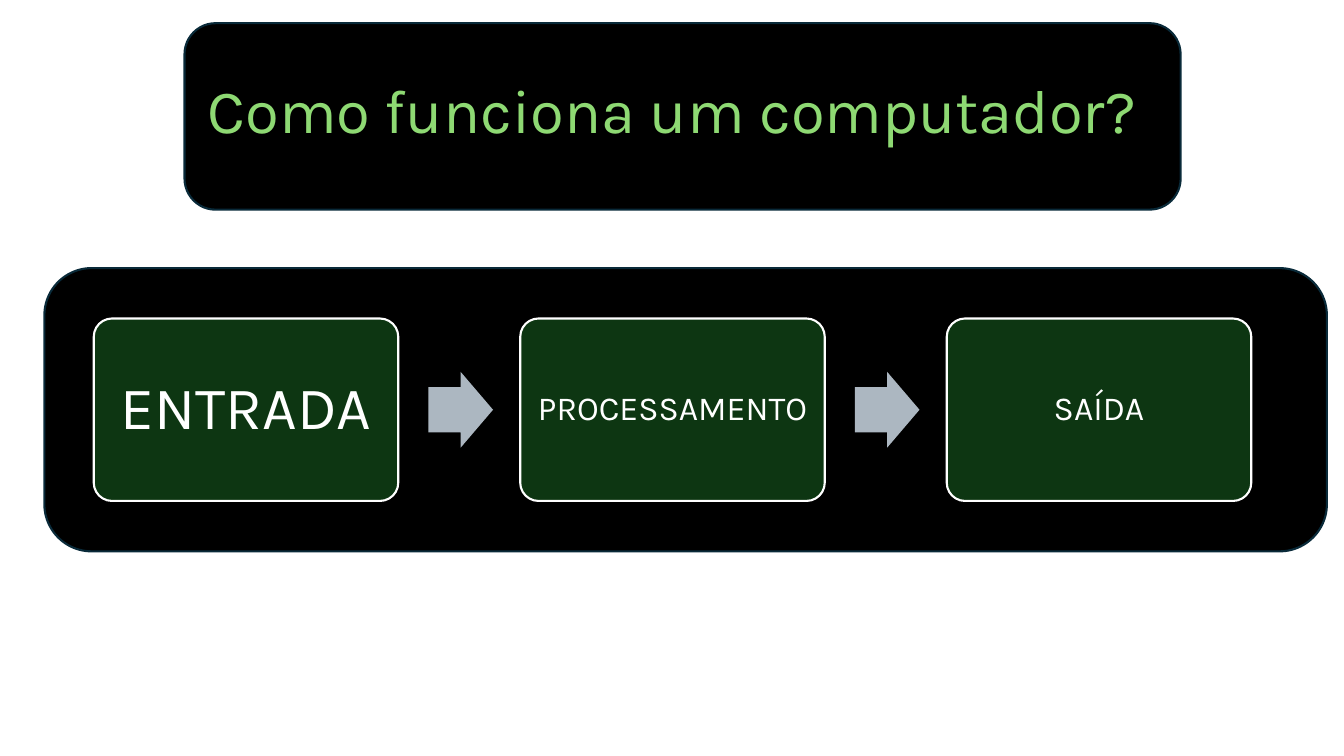
from pptx import Presentation
from pptx.dml.color import RGBColor
from pptx.enum.shapes import MSO_SHAPE as Shape
from pptx.enum.text import MSO_ANCHOR as Anchor, PP_ALIGN as Align
from pptx.util import Inches, Pt

BLACK = RGBColor(0x00, 0x00, 0x00)
WHITE = RGBColor(0xFF, 0xFF, 0xFF)
NAVY = RGBColor(0x09, 0x2A, 0x39)
LIGHT_GREEN = RGBColor(0x8E, 0xD9, 0x73)
DARK_GREEN = RGBColor(0x0D, 0x36, 0x12)
GRAY = RGBColor(0xAC, 0xB7, 0xC1)


def add_figure(shapes, kind, box, fill, outline=None):
    figure = shapes.add_shape(kind, *map(Inches, box))
    figure.shadow.inherit = False
    figure.fill.solid()
    figure.fill.fore_color.rgb = fill
    if outline is None:
        figure.line.fill.background()
    else:
        figure.line.color.rgb = outline
        figure.line.width = Pt(1.5)
    return figure


def write(figure, text, size, color, margin, space_after=0):
    frame = figure.text_frame
    frame_format = {"word_wrap": True, "vertical_anchor": Anchor.MIDDLE}
    for side in ("left", "top", "right", "bottom"):
        frame_format[f"margin_{side}"] = Inches(margin)
    for name, value in frame_format.items():
        setattr(frame, name, value)
    paragraph = frame.paragraphs[0]
    paragraph_format = {"alignment": Align.CENTER, "line_spacing": 0.9,
                        "space_before": Pt(0), "space_after": Pt(space_after)}
    for name, value in paragraph_format.items():
        setattr(paragraph, name, value)
    run = paragraph.add_run()
    run.text = text
    for name, value in {"name": "Karla", "size": Pt(size)}.items():
        setattr(run.font, name, value)
    run.font.color.rgb = color


prs = Presentation()
prs.slide_width, prs.slide_height = Inches(13.33), Inches(7.5)
slide = prs.slides.add_slide(prs.slide_layouts[5])
title = slide.shapes.title

# Black panels, placed behind the title
for box in ((0.44, 2.66, 12.72, 2.81), (1.83, 0.23, 9.88, 1.85)):
    panel = add_figure(slide.shapes, Shape.ROUNDED_RECTANGLE, box, BLACK, NAVY)
    title.element.addprevious(panel.element)

# Title
title_box = {"left": 0.92, "top": 0.4, "width": 11.5, "height": 1.45}
for name, value in title_box.items():
    setattr(title, name, Inches(value))
write(title, "Como funciona um computador?", 44, LIGHT_GREEN, 0.1)

# Process flow: three steps joined by block arrows
flow = slide.shapes.add_group_shape()
steps = [("ENTRADA", 43, 0.18), ("PROCESSAMENTO", 24, 0.1), ("SAÍDA", 24, 0.1)]
STEP_LEFT, STEP_PITCH, ARROW_OFFSET = 0.93, 4.23, 3.32
for index, (label, size, margin) in enumerate(steps):
    left = STEP_LEFT + index * STEP_PITCH
    step = add_figure(flow.shapes, Shape.ROUNDED_RECTANGLE,
                      (left, 3.16, 3.02, 1.81), DARK_GREEN, WHITE)
    step.adjustments[0] = 0.1
    write(step, label, size, WHITE, margin)
    if index < len(steps) - 1:
        arrow = add_figure(flow.shapes, Shape.RIGHT_ARROW,
                           (left + ARROW_OFFSET, 3.69, 0.64, 0.75), GRAY)
        arrow.adjustments[0] = 0.6

prs.save("out.pptx")
